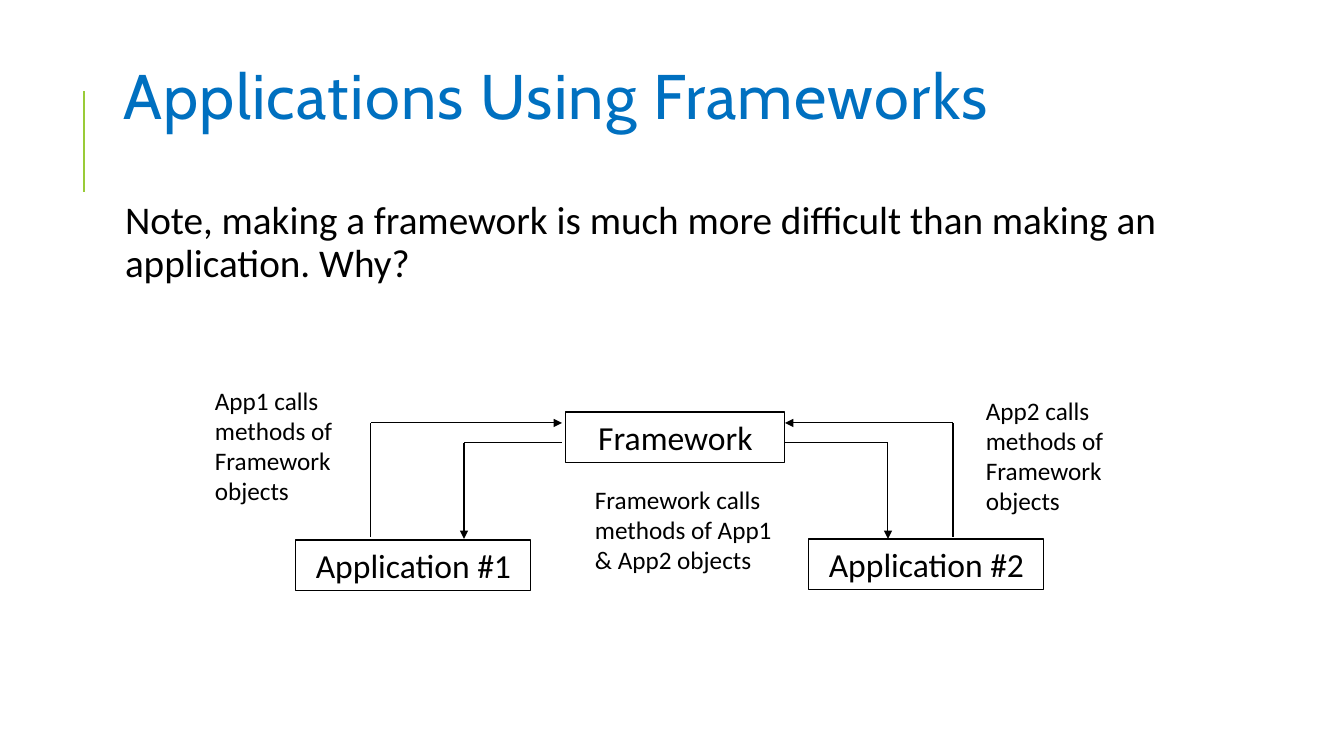
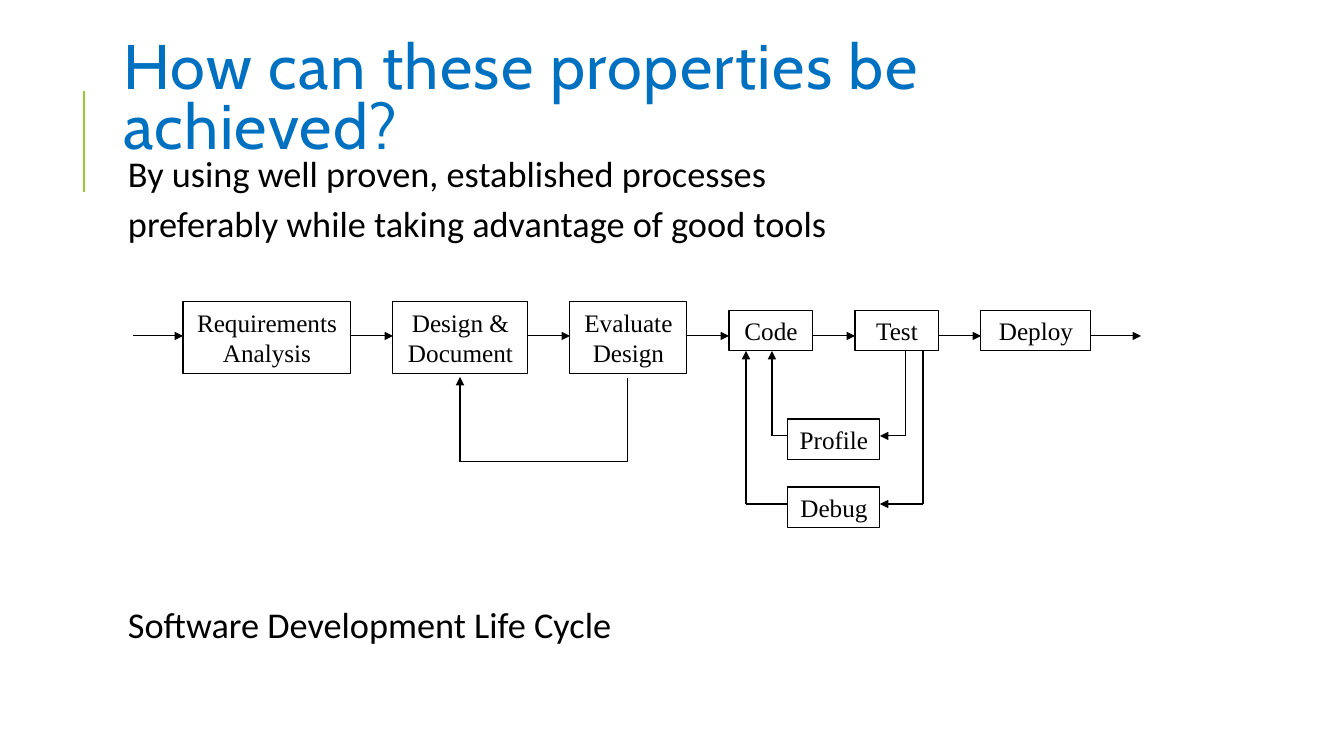
from itertools import pairwise

from pptx import Presentation
from pptx import util as u
from pptx.dml.color import RGBColor
from pptx.enum import shapes, text
from pptx.oxml.ns import qn
from lxml import etree

PX = 914400 / 100.8  # EMU in one px
WIDTH, HEIGHT = 1344, 756

BLUE = RGBColor(0x00, 0x70, 0xC0)
GREEN = RGBColor(0x99, 0xCB, 0x38)
BLACK = RGBColor(0x00, 0x00, 0x00)

TITLE_FONT, BODY_FONT, FLOW_FONT = "Cabin", "Calibri", "Times New Roman"


def px(*lengths):
    return [u.Emu(round(length * PX)) for length in lengths]


def write(frame, lines, size, font, color=BLACK, spacing=None, align=None):
    """Fill a text frame, one paragraph for each line."""
    frame.word_wrap = True
    frame.auto_size = text.MSO_AUTO_SIZE.NONE
    for index, line in enumerate(lines):
        para = frame.add_paragraph() if index else frame.paragraphs[0]
        para.add_run().text = line
        para.font.size = u.Pt(size)
        para.font.name = font
        para.font.color.rgb = color
        para.alignment = align
        para.line_spacing = spacing


def add_line(page, start, end, color=BLACK, weight=0.75, arrow=False):
    line = page.shapes.add_connector(
        shapes.MSO_CONNECTOR.STRAIGHT, *px(*start, *end))
    line.line.color.rgb = color
    line.line.width = u.Pt(weight)
    properties = line._element.spPr
    if arrow:
        outline = properties.find(qn("a:ln"))
        etree.SubElement(outline, qn("a:tailEnd"), type="triangle")
    etree.SubElement(properties, qn("a:effectLst"))


def add_route(page, *points):
    """Join the points by lines, with an arrowhead at the last one."""
    legs = list(pairwise(points))
    for index, (start, end) in enumerate(legs, 1):
        add_line(page, start, end, arrow=index == len(legs))


def add_box(page, label, left, top, width, height, size, font):
    box = page.shapes.add_shape(
        shapes.MSO_SHAPE.RECTANGLE, *px(left, top, width, height))
    box.shadow.inherit = False
    box.fill.background()
    box.line.color.rgb = BLACK
    box.line.width = u.Pt(0.75)
    write(box.text_frame, [label], size, font, align=text.PP_ALIGN.CENTER)
    box.text_frame.vertical_anchor = text.MSO_ANCHOR.TOP


def add_label(page, label, left, top, width, height):
    box = page.shapes.add_textbox(*px(left, top, width, height))
    write(box.text_frame, [label], 18, BODY_FONT)


def add_body(page, lines, left, top, height, size, spacing):
    box = page.shapes.add_textbox(*px(left, top, 1072, height))
    frame = box.text_frame
    frame.margin_left, frame.margin_top, frame.margin_right = px(15, 5, 5)
    write(frame, lines, size, BODY_FONT, spacing=spacing)
    for para in frame.paragraphs:
        para.space_before = u.Pt(12)
        para.space_after = u.Pt(2)


def add_page(deck, heading):
    """Slide with the shared title style and green rule."""
    page = deck.slides.add_slide(deck.slide_layouts[5])
    add_line(page, (84, 192), (84, 91), GREEN, 1.5)
    title = page.shapes.title
    title.left, title.top, title.width, title.height = px(113, 65, 1072, 73)
    frame = title.text_frame
    write(frame, [heading], 45, TITLE_FONT, BLUE, 0.8, text.PP_ALIGN.LEFT)
    frame.vertical_anchor = text.MSO_ANCHOR.MIDDLE
    frame.paragraphs[0].runs[0]._r.get_or_add_rPr().set("spc", "100")
    return page


def draw_framework_calls(page, left, top):
    """Framework above two applications that call it and are called."""
    def at(x, y):
        return left + x, top + y

    # Boxes
    for label, x, y, width in (("Framework", 361, 32, 219),
                               ("Application #1", 91, 160, 235),
                               ("Application #2", 604, 159, 235)):
        add_box(page, label, *at(x, y), width, 51, 24, BODY_FONT)

    # Calls into the framework, then calls back to the applications
    for side, outer, inner in ((357, 166, 259), (580, 748, 683)):
        add_route(page, at(outer, 157), at(outer, 43), at(side, 43))
        add_route(page, at(side, 63), at(inner, 63), at(inner, 159))

    # Labels
    for label, x, y, width, height in (
            ("App1 calls methods of Framework objects", 0, 0, 167, 132),
            ("App2 calls methods of Framework objects", 771, 10, 167, 132),
            ("Framework calls methods of App1 & App2 objects",
             380, 99, 213, 102)):
        add_label(page, label, *at(x, y), width, height)


def draw_life_cycle(page, left, top):
    """Chain of steps with feedback loops below it."""
    gap, lead = 42, 50
    axis = top + 34
    low = top + 72
    steps = (("Requirements Analysis", 168, 0, 72),
             ("Design & Document", 135, 0, 72),
             ("Evaluate Design", 117, 0, 72),
             ("Code", 84, 8, 41), ("Test", 84, 8, 41), ("Deploy", 110, 8, 41))

    # Steps and the arrows between them
    lefts, centers = {}, {}
    add_route(page, (left, axis), (left + lead, axis))
    x = left + lead
    for label, width, drop, height in steps:
        add_box(page, label, x, top + drop, width, height, 18, FLOW_FONT)
        lefts[label], centers[label] = x, x + width // 2
        right = x + width
        x = right + (lead if label == "Deploy" else gap)
        add_route(page, (right, axis), (x, axis))

    # Evaluation back to design
    start, end = centers["Evaluate Design"], centers["Design & Document"]
    add_route(page, (start, low + 4), (start, low + 88),
              (end, low + 88), (end, low + 3))

    # Test back to code, through profiling or debugging
    box_left, box_width, base = left + 655, 92, top + 49
    for label, drop, test_offset, code_offset in (("Profile", 117, 51, 43),
                                                  ("Debug", 185, 68, 17)):
        add_box(page, label, box_left, top + drop, box_width, 41,
                18, FLOW_FONT)
        level = top + drop + 17
        start, end = lefts["Test"] + test_offset, lefts["Code"] + code_offset
        add_route(page, (start, base), (start, level),
                  (box_left + box_width, level))
        add_route(page, (box_left, level), (end, level), (end, base))


def main():
    deck = Presentation()
    deck.slide_width, deck.slide_height = px(WIDTH, HEIGHT)

    # Frameworks
    page = add_page(deck, "Applications Using Frameworks")
    add_body(page, ["Note, making a framework is much more difficult than "
                    "making an application. Why?"], 110, 196, 100, 28, 0.9)
    draw_framework_calls(page, 205, 380)

    # Development process
    page = add_page(deck, "How can these properties be achieved?")
    add_body(page, ["By using well proven, established processes",
                    "preferably while taking advantage of good tools"],
             113, 158, 100, 25.9, 0.7)
    add_body(page, ["Software Development Life Cycle"],
             113, 609, 50, 25.9, 0.7)
    draw_life_cycle(page, 133, 302)

    deck.save("out.pptx")


if __name__ == "__main__":
    main()
